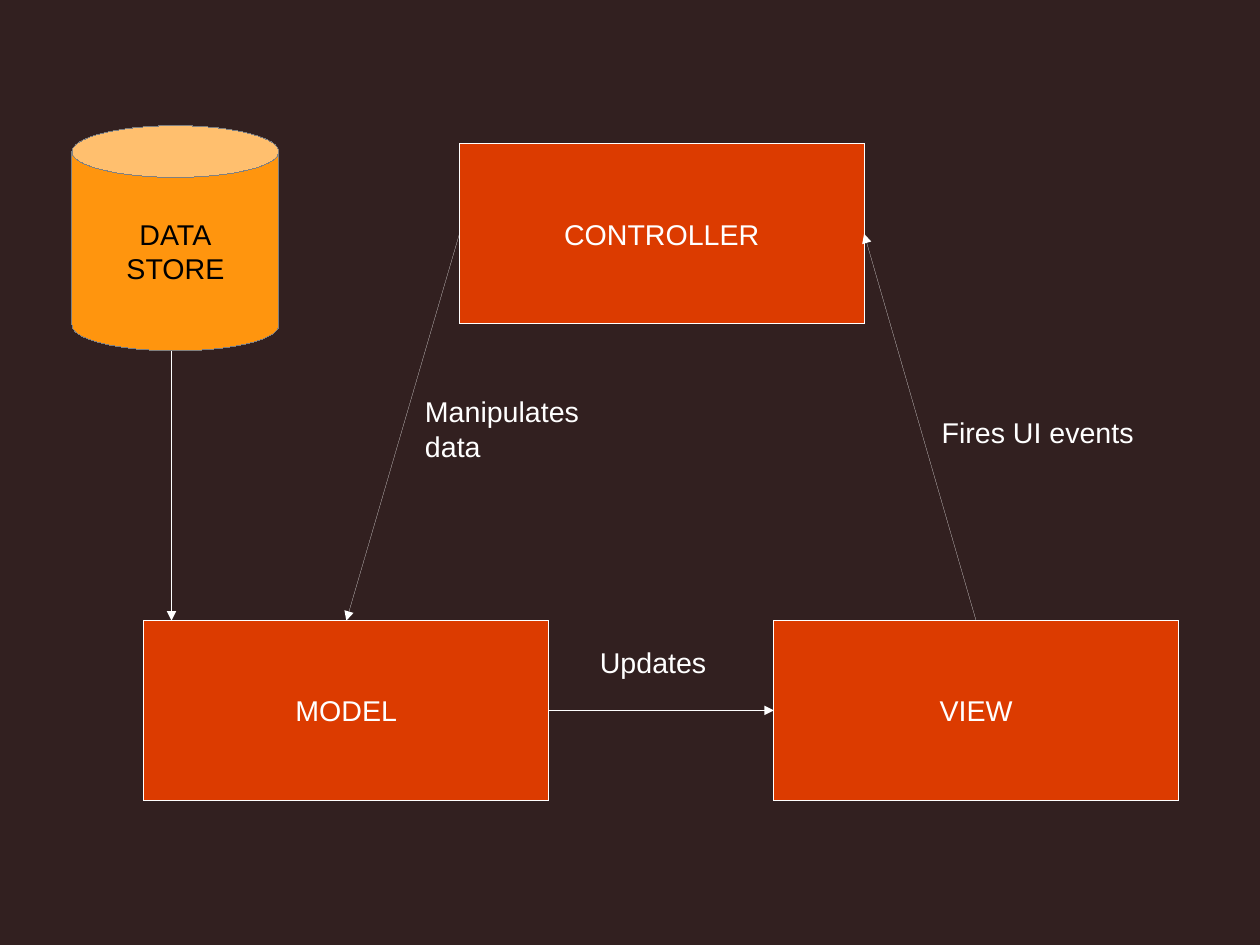
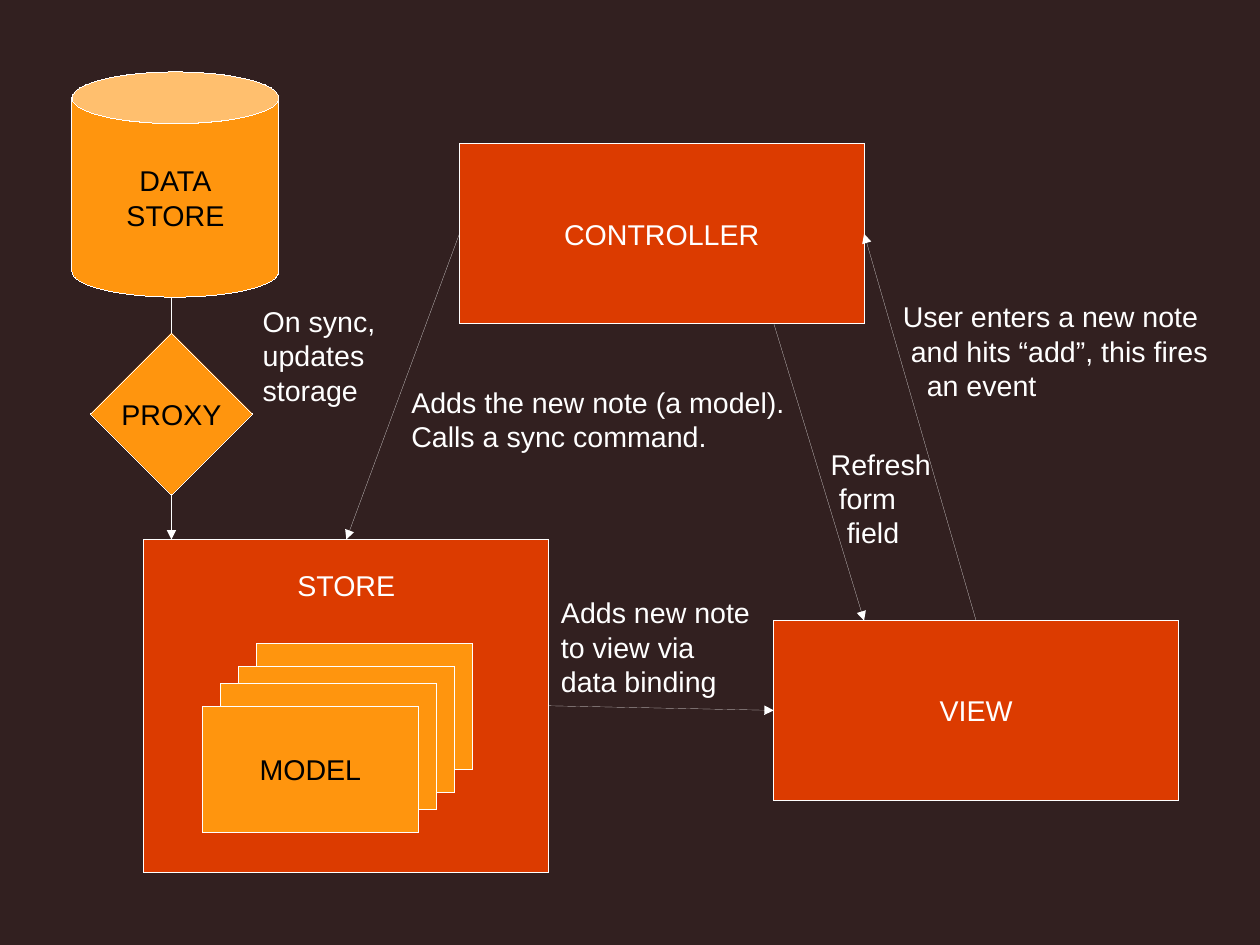
from dataclasses import dataclass

from lxml import etree
from pptx import Presentation
from pptx.dml.color import RGBColor
from pptx.dml.line import LineFormat
from pptx.enum.shapes import MSO_CONNECTOR, MSO_SHAPE
from pptx.enum.text import MSO_ANCHOR, MSO_AUTO_SIZE, PP_ALIGN
from pptx.oxml.ns import qn
from pptx.shapes.autoshape import Shape
from pptx.shapes.connector import Connector
from pptx.slide import Slide
from pptx.text.text import TextFrame
from pptx.util import Inches, Pt

RECTANGLE, CAN, DIAMOND = MSO_SHAPE.RECTANGLE, MSO_SHAPE.CAN, MSO_SHAPE.DIAMOND
STRAIGHT = MSO_CONNECTOR.STRAIGHT
TOP_ANCHOR, MIDDLE_ANCHOR = MSO_ANCHOR.TOP, MSO_ANCHOR.MIDDLE
LEFT_ALIGN, CENTER_ALIGN = PP_ALIGN.LEFT, PP_ALIGN.CENTER
FIT_SHAPE = MSO_AUTO_SIZE.SHAPE_TO_FIT_TEXT

# Page of 28 by 21 cm
CM_PER_INCH = 2.54
PAGE_WIDTH, PAGE_HEIGHT = Inches(28 / CM_PER_INCH), Inches(21 / CM_PER_INCH)

# Shared style
BACKGROUND = RGBColor(0x32, 0x20, 0x20)
RED = RGBColor(0xDC, 0x3B, 0x00)
ORANGE = RGBColor(0xFF, 0x95, 0x0E)
GRAY = RGBColor(0x80, 0x80, 0x80)
WHITE = RGBColor(0xFF, 0xFF, 0xFF)
BLACK = RGBColor(0x00, 0x00, 0x00)
FONT = "Arial"
FONT_SIZE = Pt(18)
INDENT_STEP = 0.07
BLANK_LAYOUT = 6

# Connection sites of a rectangle
TOP, LEFT, RIGHT = 0, 1, 3


@dataclass(frozen=True)
class Node:
    """A filled shape of the diagram with a centred name."""
    text: str
    left: float
    top: float
    width: float = 3.54
    height: float = 1.57
    kind: MSO_SHAPE = RECTANGLE
    fill: RGBColor = RED
    line: RGBColor = WHITE
    color: RGBColor = WHITE
    anchor: MSO_ANCHOR = MIDDLE_ANCHOR
    top_inset: float = 0.05


@dataclass(frozen=True)
class Label:
    """Free text beside an arrow; indents count steps per line."""
    text: str
    left: float
    top: float
    width: float
    height: float
    indents: tuple[int, ...] = ()


@dataclass(frozen=True)
class Arrow:
    """A straight arrow between two points."""
    start: tuple[float, float]
    end: tuple[float, float]


CONTROLLER = Node("CONTROLLER", 4.02, 1.26)
VIEW = Node("VIEW", 6.77, 5.43)
MODEL = Node("MODEL", 1.26, 5.43)
STORE = Node("STORE", 1.26, 4.72, height=2.91, anchor=TOP_ANCHOR, top_inset=0.25)
PROXY = Node("PROXY", 0.79, 2.91, 1.42, 1.42, DIAMOND, ORANGE, color=BLACK)

# Stack of model cards, back to front
CARDS = [
    Node(text, left, top, 1.89, 1.1, fill=ORANGE, color=BLACK)
    for text, left, top in (("", 2.24, 5.63), ("", 2.09, 5.83),
                            ("", 1.93, 5.98), ("MODEL", 1.77, 6.18))
]

OVERVIEW_LABELS = [
    Label("Manipulates\ndata", 3.62, 3.4, 1.57, 0.66),
    Label("Fires UI events", 8.14, 3.58, 1.9, 0.38),
    Label("Updates", 5.15, 5.59, 1.15, 0.38),
]
NEW_NOTE_LABELS = [
    Label("User enters a new note\nand hits “add”, this fires\nan event",
          7.8, 2.57, 2.89, 0.94, (0, 1, 3)),
    Label("Adds the new note (a model).\nCalls a sync command.", 3.5, 3.32, 3.48, 0.66),
    Label("Adds new note\nto view via\ndata binding", 4.81, 5.16, 1.87, 0.94),
    Label("Refresh\nform\nfield", 7.17, 3.86, 1.16, 0.94, (0, 1, 2)),
    Label("On sync,\nupdates\nstorage", 2.2, 2.61, 1.27, 0.94),
]
REFRESH_ARROW = Arrow((6.77, 2.83), (7.56, 5.43))


def data_store(top: float, line: RGBColor) -> Node:
    return Node("DATA\nSTORE", 0.63, top, 1.81, 1.97, CAN, ORANGE, line, BLACK)


def set_hairline(line: LineFormat, color: RGBColor) -> None:
    line.color.rgb = color
    # A width of zero has to be written out to override the theme
    line._get_or_add_ln().set("w", "0")


def write_text(frame: TextFrame, text: str, color: RGBColor, align: PP_ALIGN) -> None:
    frame.text = text
    frame.word_wrap = False
    for paragraph in frame.paragraphs:
        paragraph.alignment = align
        for run in paragraph.runs:
            run.font.name = FONT
            run.font.size = FONT_SIZE
            run.font.color.rgb = color


def draw_node(slide: Slide, node: Node) -> Shape:
    shape = slide.shapes.add_shape(node.kind, Inches(node.left), Inches(node.top),
                                   Inches(node.width), Inches(node.height))
    shape.shadow.inherit = False
    shape.fill.solid()
    shape.fill.fore_color.rgb = node.fill
    set_hairline(shape.line, node.line)
    if node.text:
        frame = shape.text_frame
        write_text(frame, node.text, node.color, CENTER_ALIGN)
        frame.vertical_anchor = node.anchor
        frame.margin_top = Inches(node.top_inset)
    return shape


def draw_label(slide: Slide, label: Label) -> None:
    frame = slide.shapes.add_textbox(Inches(label.left), Inches(label.top),
                                     Inches(label.width), Inches(label.height)).text_frame
    write_text(frame, label.text, WHITE, LEFT_ALIGN)
    frame.auto_size = FIT_SHAPE
    for paragraph, steps in zip(frame.paragraphs, label.indents):
        paragraph._p.get_or_add_pPr().set("marL", str(Inches(steps * INDENT_STEP)))


def draw_arrow(slide: Slide, arrow: Arrow) -> Connector:
    (x1, y1), (x2, y2) = arrow.start, arrow.end
    connector = slide.shapes.add_connector(STRAIGHT, Inches(x1), Inches(y1),
                                           Inches(x2), Inches(y2))
    set_hairline(connector.line, WHITE)
    etree.SubElement(connector.line._get_or_add_ln(), qn("a:tailEnd"), type="triangle")
    etree.SubElement(connector._element.spPr, qn("a:effectLst"))
    return connector


def link(slide: Slide, source: Shape, source_site: int, target: Shape, target_site: int) -> None:
    """Glue an arrow to a site of each shape."""
    connector = draw_arrow(slide, Arrow((0, 0), (1, 1)))
    connector.begin_connect(source, source_site)
    connector.end_connect(target, target_site)


def draw_pattern(prs: Presentation, model_node: Node, store_node: Node) -> Slide:
    """Draw the parts that both slides share."""
    slide = prs.slides.add_slide(prs.slide_layouts[BLANK_LAYOUT])
    controller, model, view = (draw_node(slide, node)
                               for node in (CONTROLLER, model_node, VIEW))
    link(slide, controller, LEFT, model, TOP)
    link(slide, model, RIGHT, view, LEFT)
    link(slide, view, TOP, controller, RIGHT)
    draw_node(slide, store_node)
    draw_arrow(slide, Arrow((1.5, store_node.top + store_node.height), (1.5, model_node.top)))
    return slide


def main() -> None:
    prs = Presentation()
    prs.slide_width, prs.slide_height = PAGE_WIDTH, PAGE_HEIGHT
    background = prs.slide_master.background.fill
    background.solid()
    background.fore_color.rgb = BACKGROUND

    # Pattern overview
    overview = draw_pattern(prs, MODEL, data_store(1.1, GRAY))
    for label in OVERVIEW_LABELS:
        draw_label(overview, label)

    # Adding a new note
    new_note = draw_pattern(prs, STORE, data_store(0.63, WHITE))
    for node in (PROXY, *CARDS):
        draw_node(new_note, node)
    draw_arrow(new_note, REFRESH_ARROW)
    for label in NEW_NOTE_LABELS:
        draw_label(new_note, label)

    prs.save("out.pptx")


if __name__ == "__main__":
    main()
